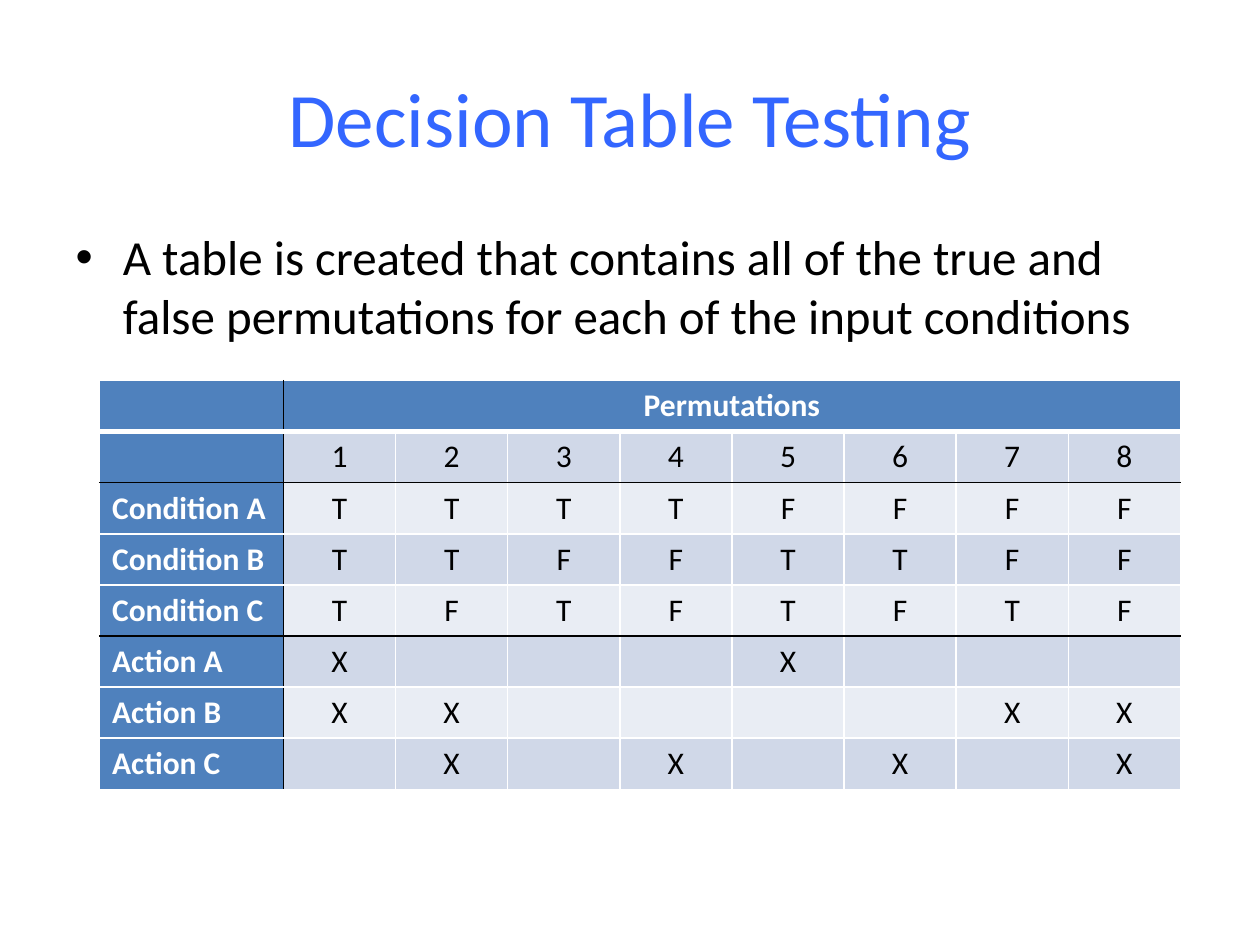
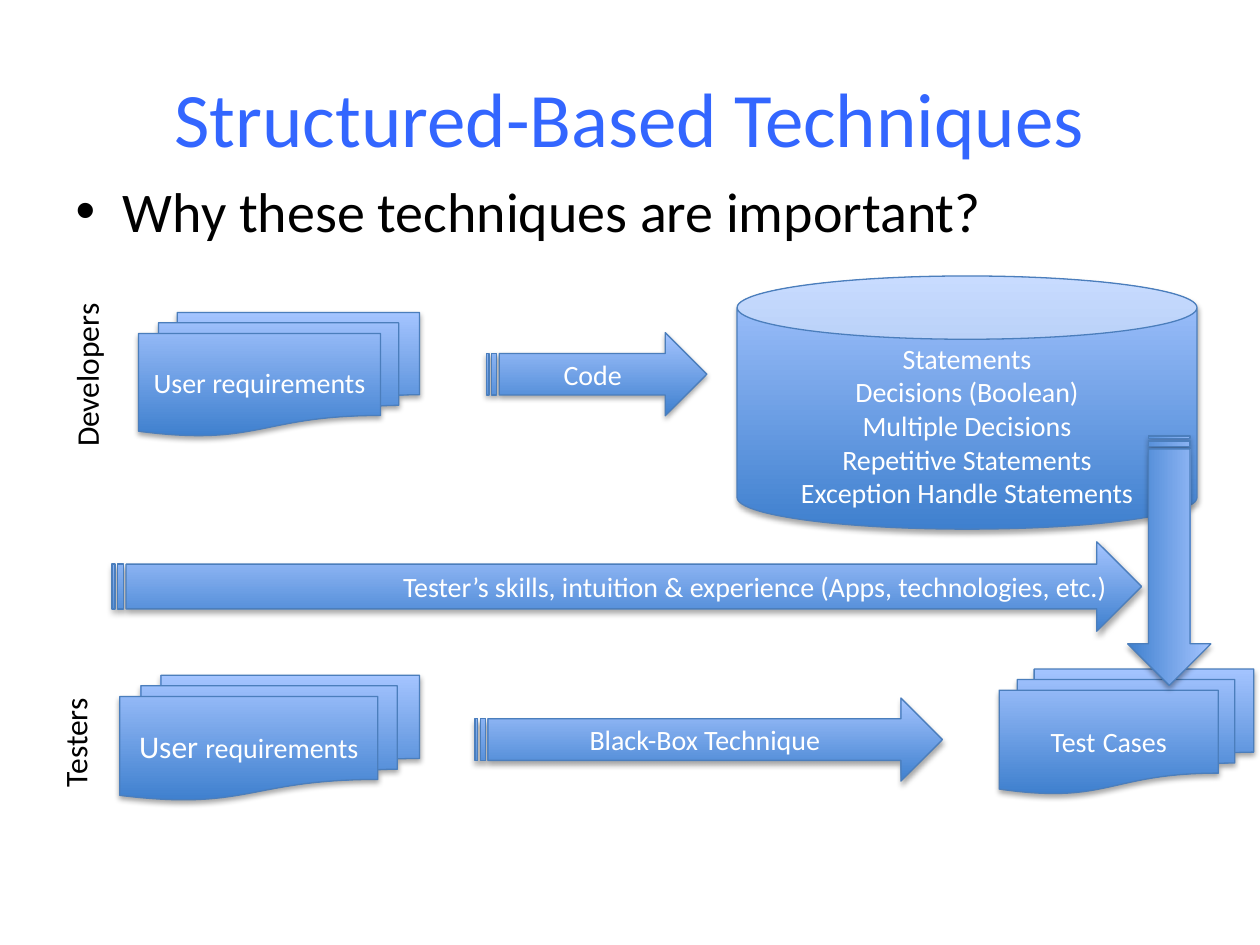
"""Build two slides on software testing techniques."""
from lxml import etree
from pptx import Presentation
from pptx.dml.color import RGBColor
from pptx.enum.shapes import MSO_SHAPE as Preset
from pptx.enum.text import MSO_ANCHOR as Anchor, MSO_AUTO_SIZE as AutoSize, PP_ALIGN as Align
from pptx.oxml import parse_xml
from pptx.oxml.ns import nsdecls, qn
from pptx.util import Inches, Pt

FONT = "Calibri"
COLORS = {
    "title": "3366FF",
    "black": "000000",
    "white": "FFFFFF",
    "header": "4F81BD",
    "band_dark": "D0D8E8",
    "band_light": "E9EDF4",
    "gradient_start": "3F80CE",
    "gradient_end": "A4C4FF",
    "outline": "4B7EBC",
}
DECISION_ROWS = [
    ("", "Permutations"),
    ("", *"12345678"),
    ("Condition A", *"TTTTFFFF"),
    ("Condition B", *"TTFFTTFF"),
    ("Condition C", *"TFTFTFTF"),
    ("Action A", *"X   X   "),
    ("Action B", *"XX    XX"),
    ("Action C", *" X X X X"),
]
SECTION_STARTS = (2, 5)
CODE_ELEMENTS = [
    "Statements",
    "Decisions (Boolean)",
    "Multiple Decisions",
    "Repetitive Statements",
    "Exception Handle Statements",
]


def color(name):
    return RGBColor.from_string(COLORS[name])


class Deck:
    def __init__(self):
        self.presentation = Presentation()
        self.presentation.slide_width = Inches(10)
        self.presentation.slide_height = Inches(7.5)
        self.slide = None

    def place(self, shape, left, top, width, height):
        shape.left, shape.top = Inches(left), Inches(top)
        shape.width, shape.height = Inches(width), Inches(height)

    def format_run(self, run, size, color_name, bold=False):
        run.font.name = FONT
        run.font.size = Pt(size)
        run.font.bold = bold
        run.font.color.rgb = color(color_name)

    def set_text(self, text_frame, text, size, color_name, align=None, bold=False):
        text_frame.text = text
        for paragraph in text_frame.paragraphs:
            paragraph.alignment = align
            for run in paragraph.runs:
                self.format_run(run, size, color_name, bold)

    def add_slide(self, title, bullet, bullet_top, bullet_size):
        layout = self.presentation.slide_layouts[1]
        self.slide = self.presentation.slides.add_slide(layout)
        heading, body = self.slide.placeholders
        self.place(heading, 0.5, 0.3, 9, 1.25)
        heading.text_frame.vertical_anchor = Anchor.MIDDLE
        self.set_text(heading.text_frame, title, 44, "title", Align.CENTER)
        self.place(body, 0.5, bullet_top, 9, 4.95)
        self.set_text(body.text_frame, bullet, bullet_size, "black")

    def add_label(self, box, text, size, color_name, align=None, rotation=0):
        label = self.slide.shapes.add_textbox(*map(Inches, box))
        label.rotation = rotation
        label.text_frame.word_wrap = False
        label.text_frame.auto_size = AutoSize.SHAPE_TO_FIT_TEXT
        self.set_text(label.text_frame, text, size, color_name, align)

    def add_block(self, preset, box, runs=(), align=Align.CENTER, rotation=0):
        shape = self.slide.shapes.add_shape(preset, *map(Inches, box))
        shape.rotation = rotation
        shape.fill.gradient()
        shape.fill.gradient_angle = 90
        for stop, name in zip(shape.fill.gradient_stops, ("gradient_start", "gradient_end")):
            stop.color.rgb = color(name)
        shape.line.color.rgb = color("outline")
        shape.line.width = Pt(0.75)
        self.add_shadow(shape)
        shape.text_frame.vertical_anchor = Anchor.MIDDLE
        paragraph = shape.text_frame.paragraphs[0]
        paragraph.alignment = align
        for text, size in runs:
            run = paragraph.add_run()
            run.text = text
            self.format_run(run, size, "white")

    def add_shadow(self, shape):
        shape.shadow.inherit = False
        effects = shape._element.spPr.find(qn("a:effectLst"))
        effects.append(parse_xml(
            f'<a:outerShdw {nsdecls("a")} blurRad="{Pt(3.1)}" dist="{Pt(1.8)}" '
            f'dir="5400000" rotWithShape="0"><a:srgbClr val="{COLORS["black"]}">'
            '<a:alpha val="35000"/></a:srgbClr></a:outerShdw>'))

    def add_border(self, cell, side, color_name, width=1):
        line = etree.SubElement(cell._tc.get_or_add_tcPr(), qn(f"a:ln{side}"), w=str(Pt(width)))
        fill = etree.SubElement(line, qn("a:solidFill"))
        etree.SubElement(fill, qn("a:srgbClr"), val=COLORS[color_name])

    def format_cell(self, cell, row, column):
        for side, edge in (("L", column), ("R", column + 1)):
            self.add_border(cell, side, "black" if edge == 1 else "white")
        for side, edge in (("T", row), ("B", row + 1)):
            name = "black" if edge in SECTION_STARTS else "white"
            self.add_border(cell, side, name, 3 if edge == 1 else 1)
        band = "band_dark" if row % 2 else "band_light"
        cell.fill.solid()
        cell.fill.fore_color.rgb = color("header" if row == 0 or column == 0 else band)

    def add_decision_table(self, rows):
        columns = len(rows[-1])
        frame = self.slide.shapes.add_table(
            len(rows), columns, Inches(0.79), Inches(3.02), Inches(8.58), Inches(3.24))
        table = frame.table
        table.first_row = table.horz_banding = False
        for index, column in enumerate(table.columns):
            column.width = Inches(0.89 if index else 1.46)
        for row in range(len(rows)):
            for column in range(columns):
                self.format_cell(table.cell(row, column), row, column)
        table.cell(0, 1).merge(table.cell(0, columns - 1))
        for row, values in enumerate(rows):
            for column, value in enumerate(values):
                header = row == 0 or column == 0
                self.set_text(table.cell(row, column).text_frame, value.strip(), 18,
                              "white" if header else "black",
                              Align.CENTER if column else None, header)


def build_decision_slide(deck):
    deck.add_slide(
        "Decision Table Testing",
        "A table is created that contains all of the true and false permutations "
        "for each of the input conditions", 1.75, 28)
    deck.add_decision_table(DECISION_ROWS)


def build_techniques_slide(deck):
    documents, arrow = Preset.FLOWCHART_MULTIDOCUMENT, Preset.STRIPED_RIGHT_ARROW
    deck.add_slide("Structured-Based Techniques", "Why these techniques are important?", 1.35, 32)
    deck.add_block(Preset.CAN, (5.85, 2.19, 3.65, 2.01))
    deck.add_block(documents, (1.1, 2.48, 2.23, 0.98), [("User requirements", 16)])
    deck.add_block(arrow, (3.86, 2.64, 1.75, 0.66), [("Code", 16)])
    deck.add_label((0.01, 2.77, 1.35, 0.4), "Developers", 18, "black", rotation=270)
    deck.add_label((0.14, 5.69, 0.91, 0.4), "Testers", 18, "black", rotation=270)
    deck.add_block(documents, (0.95, 5.36, 2.38, 0.99), [("User ", 18), ("requirements", 16)])
    deck.add_block(arrow, (3.77, 5.54, 3.71, 0.66), [("Black-Box Technique", 16)])
    deck.add_block(
        arrow, (0.89, 4.3, 8.17, 0.71),
        [("Tester’s skills, intuition & experience (Apps, technologies, etc.)", 16)], Align.RIGHT)
    deck.add_block(documents, (7.93, 5.31, 2.02, 0.99), [("Test", 16), (" ", 18), ("Cases", 16)])
    deck.add_block(arrow, (8.29, 4.12, 1.98, 0.66), rotation=90)
    deck.add_label((6.24, 2.66, 2.87, 1.45), "\n".join(CODE_ELEMENTS), 16, "white", Align.CENTER)


def main():
    deck = Deck()
    build_decision_slide(deck)
    build_techniques_slide(deck)
    deck.presentation.save("out.pptx")


if __name__ == "__main__":
    main()
